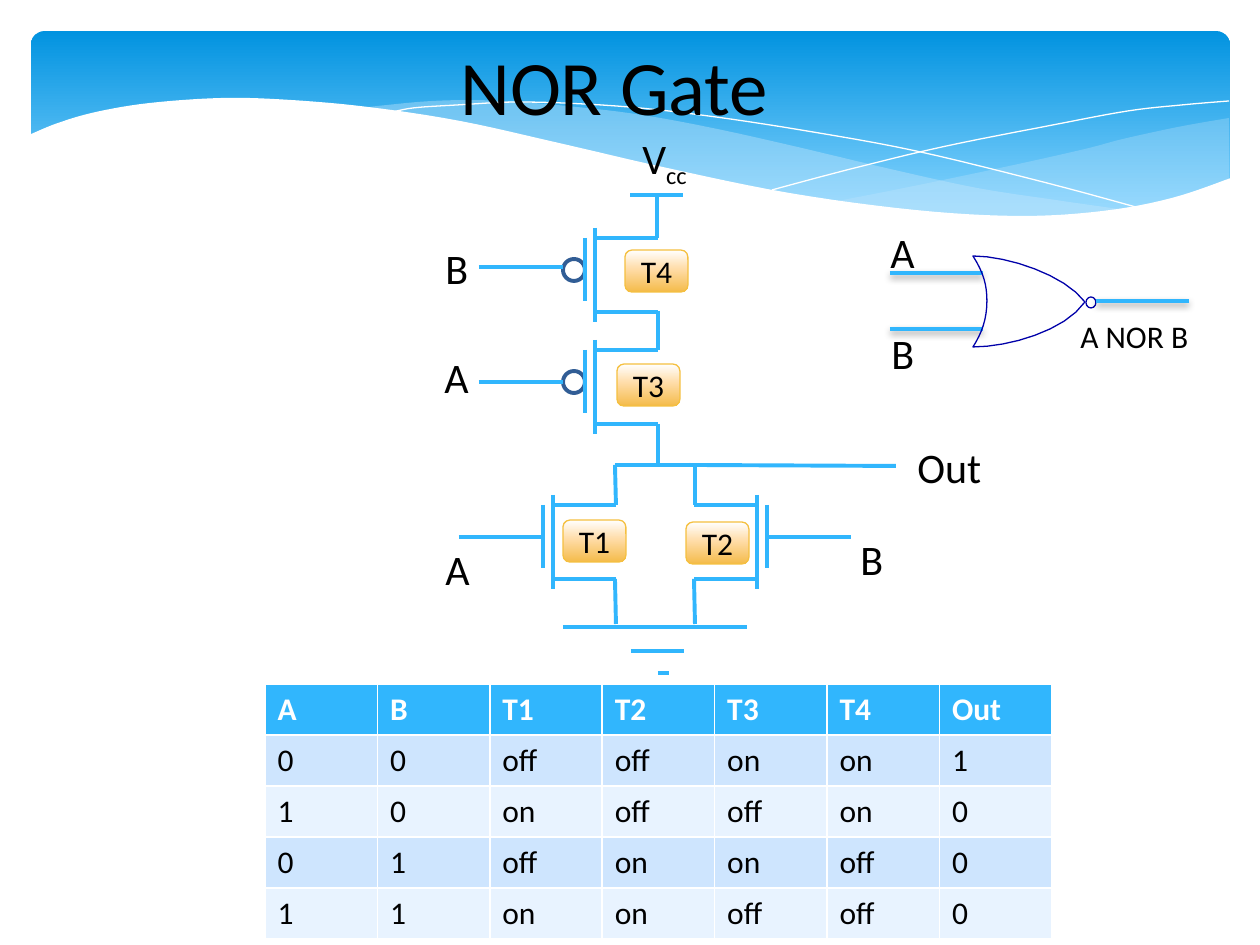
from copy import deepcopy
from lxml import etree
from pptx import Presentation, util as u
from pptx.dml.color import RGBColor
from pptx.enum import shapes, text
from pptx.oxml.ns import qn

PX = 914400 / 126
COLORS = {"wire": "31B6FD", "ring": "315D95", "gate": "0000A9", "white": "FFFFFF", "black": "000000",
          "tag": "F5C040", "haze": "C6E7FC", "odd": "CEE5FE", "even": "E8F3FF"}
BANNER_STOPS = [(0, "0293E0"), (0.9, "83D3FE")]
TAG_STOPS = [(0, "FFFFFF"), (0.44, "FFDDAA"), (1, "F4BB4A")]

# Banner waves: each is a list of smooth runs
RIGHT_HAZE = [
    [(1229, 118), (1178, 127), (1123, 139), (1085, 149), (1014, 165), (919, 185), (833, 202)],
    [(833, 202), (888, 208), (954, 214), (1026, 217), (1099, 213), (1160, 202), (1196, 192), (1229, 179)]]
MIDDLE_HAZE = [
    [(1125, 210), (1055, 200), (977, 188), (890, 169), (793, 146), (717, 129), (648, 116), (586, 108),
     (503, 101), (433, 101), (360, 108)],
    [(360, 108), (431, 118), (509, 134), (566, 146), (668, 170), (757, 189), (838, 203), (910, 212),
     (974, 217), (1031, 218), (1080, 215), (1125, 210)]]
STRANDS = [
    [(389, 113), (413, 108), (457, 105), (524, 102), (616, 106), (701, 115), (801, 130), (916, 151),
     (1047, 183), (1143, 209)],
    [(772, 190), (847, 170), (942, 147), (1053, 125), (1128, 111), (1182, 105), (1229, 101)]]
WHITE_WAVE = [
    [(1231, 178), (1172, 198), (1103, 211), (1019, 216), (915, 210), (789, 193), (667, 168), (563, 144),
     (460, 121), (368, 107), (290, 100), (223, 98), (150, 103), (96, 112), (58, 123), (29, 135)],
    [(29, 282), (1231, 282)]]

# Circuit: channel x, top lead y, input y, side of the leads, bubble
TRANSISTORS = [(595, 238, 267, 1, True), (595, 350, 382, 1, True),
               (553, 505, 537, 1, False), (757, 505, 537, -1, False)]
WIRES = [
    (630, 195, 683, 195), (657, 197, 657, 238), (658, 311, 658, 350), (658, 424, 658, 465),  # supply chain
    (615, 465, 694, 465), (690, 465, 896, 466), (615, 465, 616, 505), (695, 465, 695, 505),  # output
    (615, 579, 616, 624), (694, 579, 695, 624),                                              # to ground
    (563, 627, 658, 627), (653, 627, 747, 627), (631, 651, 684, 651), (658, 673, 669, 673)]
TAGS = [("T3", 617, 364), ("T2", 686, 522), ("T1", 563, 520), ("T4", 625, 250)]

# Gate symbol
GATE_WIRES = [(890, 273, 983, 273), (890, 329, 983, 329), (1096, 301, 1189, 301)]
GATE_CURVES = [((973, 256), (984, 273), (987, 286), (987, 301)), ((987, 301), (987, 319), (982, 333), (973, 347)),
               ((973, 347), (1009, 347), (1065, 331), (1085, 302)), ((1085, 302), (1065, 275), (1008, 256), (973, 256))]

LABELS = [("A", 433, 537, 52, 24), ("B", 433, 236, 52, 24), ("A", 432, 345, 52, 24), ("B", 848, 527, 52, 24),
          ("Out", 905, 435, 93, 24), ("B", 879, 321, 52, 24), ("A NOR B", 1068, 311, 140, 18),
          ("A", 878, 220, 52, 24)]
TABLE = ["A B T1 T2 T3 T4 Out", "0 0 off off on on 1", "1 0 on off off on 0",
         "0 1 off on on off 0", "1 1 on on off off 0"]

prs = Presentation()
prs.slide_width, prs.slide_height = u.Inches(10), u.Inches(7.5)
slide = prs.slides.add_slide(prs.slide_layouts[6])


def px(*values):
    return [round(v * PX) for v in values]


def rgb(name):
    return RGBColor.from_string(COLORS.get(name, name))


def paint(shape, fill=None, line=None, width=0):
    shape.shadow.inherit = False
    if fill:
        shape.fill.solid()
        shape.fill.fore_color.rgb = rgb(fill)
    else:
        shape.fill.background()
    if line:
        shape.line.color.rgb = rgb(line)
        shape.line.width = u.Pt(width)
    else:
        shape.line.fill.background()


def shade(shape, stops):
    shape.fill.gradient()
    shape.fill.gradient_angle = 270
    first = shape.fill.gradient_stops[0]._gs
    for _ in stops[2:]:
        first.getparent().append(deepcopy(first))
    for stop, (position, color) in zip(shape.fill.gradient_stops, stops):
        stop.position = position
        stop.color.rgb = rgb(color)


def bezier(a, b, c, d, steps=8):
    for t in (i / steps for i in range(steps + 1)):
        s = 1 - t
        yield tuple(s**3 * p + 3 * s * s * t * q + 3 * s * t * t * r + t**3 * e
                    for p, q, r, e in zip(a, b, c, d))


def smooth(run):
    ends = [run[0], *run, run[-1]]
    points = []
    for before, a, d, after in zip(ends, ends[1:], ends[2:], ends[3:]):
        b = [p + (q - o) / 6 for o, p, q in zip(before, a, d)]
        c = [q - (r - p) / 6 for p, q, r in zip(a, d, after)]
        points += bezier(a, b, c, d, 6)
    return points


def outline(points, close=True, alpha=None, **look):
    corners = [px(*p) for p in points]
    builder = slide.shapes.build_freeform(*corners[0])
    builder.add_line_segments(corners[1:], close=close)
    shape = builder.convert_to_shape()
    paint(shape, **look)
    if alpha:
        for color in shape._element.spPr.iter(qn("a:srgbClr")):
            etree.SubElement(color, qn("a:alpha"), val=str(alpha * 1000))


def wire(ends, width=2.25, shadow=False):
    line = slide.shapes.add_connector(shapes.MSO_CONNECTOR.STRAIGHT, *px(*ends))
    line.line.color.rgb = rgb("wire")
    line.line.width = u.Pt(width)
    effects = etree.SubElement(line._element.spPr, qn("a:effectLst"))
    if shadow:
        cast = etree.SubElement(effects, qn("a:outerShdw"), blurRad="50800", dist="25400",
                                dir="5400000", rotWithShape="0")
        color = etree.SubElement(cast, qn("a:srgbClr"), val=COLORS["black"])
        etree.SubElement(color, qn("a:alpha"), val="38000")


def ring(box, **look):
    paint(slide.shapes.add_shape(shapes.MSO_SHAPE.OVAL, *px(*box)), **look)


def write(paragraph, words, size, color="black", bold=False):
    run = paragraph.add_run()
    run.text = words
    for name, value in {"size": u.Pt(size), "name": "Calibri", "bold": bold}.items():
        setattr(run.font, name, value)
    run.font.color.rgb = rgb(color)
    return run


def label(words, x, y, width, size, height=63, wrap=False):
    frame = slide.shapes.add_textbox(*px(x, y, width, height)).text_frame
    frame.word_wrap = wrap
    write(frame.paragraphs[0], words, size)
    return frame.paragraphs[0]


def transistor(channel, top, entry, side, bubble):
    gate = channel - 10 * side
    start = gate - 22 * side if bubble else gate
    if bubble:
        ring((start, top + 21, 22, 22), fill="white", line="ring", width=2.25)
    wire((gate, top, gate, top + 63))
    wire((channel, top - 10, channel, top + 84))
    for y in (top, top + 74):
        wire((channel, y, channel + 63 * side, y))
    wire((start - 84 * side, entry, start, entry))


# Banner
banner = slide.shapes.add_shape(shapes.MSO_SHAPE.ROUNDED_RECTANGLE, *px(31, 31, 1199, 197))
banner.adjustments[0] = 0.07
paint(banner)
shade(banner, BANNER_STOPS)
for runs, alpha in ((RIGHT_HAZE, 29), (MIDDLE_HAZE, 40)):
    outline([p for run in runs for p in smooth(run)], alpha=alpha, fill="haze")
for strand in STRANDS:
    outline(smooth(strand), close=False, line="white")
outline([p for run in WHITE_WAVE for p in smooth(run)], fill="white")

# Title and supply label
title = label("NOR Gate", 21, 32, 1187, 44, height=106, wrap=True)
title.alignment = text.PP_ALIGN.CENTER
supply = label("V", 630, 126, 73, 24)
write(supply, "cc", 24).font._element.set("baseline", "-25000")

# Circuit
for part in TRANSISTORS:
    transistor(*part)
for ends in WIRES:
    wire(ends)
for name, x, y in TAGS:
    tag = slide.shapes.add_shape(shapes.MSO_SHAPE.ROUNDED_RECTANGLE, *px(x, y, 63, 42))
    paint(tag, line="tag", width=0.75)
    shade(tag, TAG_STOPS)
    tag.text_frame.vertical_anchor = text.MSO_ANCHOR.MIDDLE
    tag.text_frame.paragraphs[0].alignment = text.PP_ALIGN.CENTER
    write(tag.text_frame.paragraphs[0], name, 18)

# Truth table
rows = [line.split() for line in TABLE]
grid = slide.shapes.add_table(len(rows), len(rows[0]), *px(265, 684, 787, 255)).table
for r, row in enumerate(rows):
    for c, value in enumerate(row):
        cell = grid.cell(r, c)
        cell.fill.solid()
        cell.fill.fore_color.rgb = rgb("wire" if r == 0 else "odd" if r % 2 else "even")
        write(cell.text_frame.paragraphs[0], value, 18, "black" if r else "white", r == 0)

# Gate symbol and labels
ring((1086, 297, 10, 11), line="gate")
for ends in GATE_WIRES:
    wire(ends, 2, shadow=True)
outline([p for curve in GATE_CURVES for p in bezier(*curve)], line="gate")
for words, x, y, width, size in LABELS:
    label(words, x, y, width, size, height=50 if size == 18 else 63)

prs.save("out.pptx")
